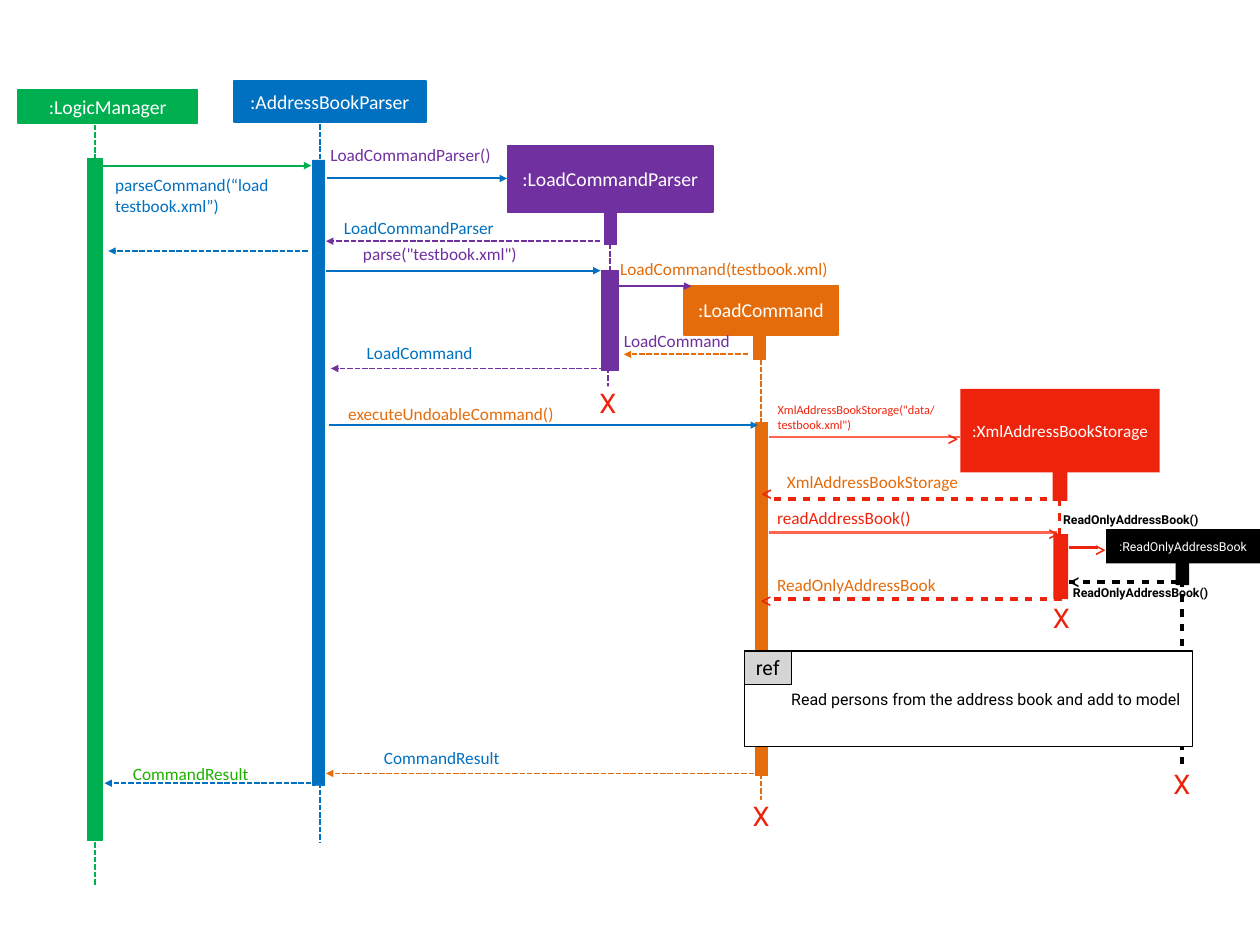
from lxml.etree import SubElement
from pptx import Presentation
from pptx.dml.color import RGBColor
from pptx.enum.dml import MSO_LINE
from pptx.enum.shapes import MSO_CONNECTOR, MSO_SHAPE
from pptx.enum.text import MSO_ANCHOR, PP_ALIGN
from pptx.oxml.ns import qn
from pptx.util import Pt

GREEN = RGBColor(0x00, 0xB0, 0x50)
LIME = RGBColor(0x1E, 0xB0, 0x01)
BLUE = RGBColor(0x00, 0x70, 0xC0)
PURPLE = RGBColor(0x70, 0x30, 0xA0)
ORANGE = RGBColor(0xE4, 0x6C, 0x0A)
RED = RGBColor(0xEE, 0x23, 0x0C)
CORAL = RGBColor(0xFF, 0x64, 0x4E)
GRAY = RGBColor(0xD6, 0xD5, 0xD5)
BLACK = RGBColor(0, 0, 0)
WHITE = RGBColor(255, 255, 255)

deck = Presentation()
deck.slide_width, deck.slide_height = Pt(1024), Pt(768)
slide = deck.slides.add_slide(deck.slide_layouts[6])


def box(x, y, w, h, fill=None, text="", ink=WHITE, size=16, face="Calibri",
        rim=None, edge=0, pad=0, bold=False, align=PP_ALIGN.CENTER,
        anchor=MSO_ANCHOR.MIDDLE):
    place = Pt(x), Pt(y), Pt(w), Pt(h)
    if fill is None:
        shape = slide.shapes.add_textbox(*place)
    else:
        shape = slide.shapes.add_shape(MSO_SHAPE.RECTANGLE, *place)
        shape.shadow.inherit = False
        shape.fill.solid()
        shape.fill.fore_color.rgb = fill
        if edge:
            shape.line.color.rgb = rim or fill
            shape.line.width = Pt(edge)
        else:
            shape.line.fill.background()
    if text:
        frame = shape.text_frame
        style = {"word_wrap": True, "vertical_anchor": anchor}
        for side in ("left", "right", "top", "bottom"):
            style["margin_" + side] = Pt(pad)
        for key, value in style.items():
            setattr(frame, key, value)
        par = frame.paragraphs[0]
        par.alignment = align
        run = par.add_run()
        run.text = text
        for key, value in {"name": face, "size": Pt(size), "bold": bold}.items():
            setattr(run.font, key, value)
        run.font.color.rgb = ink


def line(x1, y1, x2, y2, ink, width=1.5, dash=False, head=False):
    link = slide.shapes.add_connector(
        MSO_CONNECTOR.STRAIGHT, Pt(x1), Pt(y1), Pt(x2), Pt(y2))
    link.line.color.rgb = ink
    link.line.width = Pt(width)
    props = link.element.spPr
    stroke = props.find(qn("a:ln"))
    if dash and width == 3:
        custom = SubElement(stroke, qn("a:custDash"))
        SubElement(custom, qn("a:ds"), d="200000", sp="200000")
    elif dash:
        link.line.dash_style = MSO_LINE.SQUARE_DOT
        stroke.find(qn("a:prstDash")).set("val", "sysDash")
    if head:
        SubElement(stroke, qn("a:tailEnd"), type="triangle")
    SubElement(props, qn("a:effectLst"))


for x, top, end, ink, width in [
    (77, 101.5, 720, GREEN, 1.5),
    (260, 101, 685, BLUE, 1.5),
    (496, 198, 242, PURPLE, 1.5),
    (494, 287, 320, PURPLE, 1.5),
    (618.5, 292, 651, ORANGE, 1.5),
    (861, 405, 494, RED, 3),
    (960.5, 471, 631, BLACK, 3),
]:
    line(x, top, x, end, ink, width, dash=True)

for x, y, w, h, fill, edge in [
    (71, 129, 12, 554, GREEN, 0.75),
    (254, 130, 10, 508, BLUE, 0.75),
    (491, 168, 10, 31, PURPLE, 0.75),
    (489, 220, 14, 81, PURPLE, 0.75),
    (612, 270, 10, 22, ORANGE, 0.75),
    (614, 343, 10, 287, ORANGE, 0.75),
    (855.5, 383, 12, 24, RED, 0),
    (856, 434, 12, 53, RED, 0),
    (955.5, 451.5, 11, 24, BLACK, 0),
]:
    box(x, y, w, h, fill, edge=edge)

for x, y, w, h, fill, name, size, face, edge in [
    (14.5, 73, 146, 27, GREEN, ":LogicManager", 16, "Calibri", 1.5),
    (190, 65.5, 156, 34, BLUE, ":AddressBookParser", 16, "Calibri", 1.5),
    (412.5, 119, 167, 53, PURPLE, ":LoadCommandParser", 16, "Calibri", 1.5),
    (556, 232, 125, 40, ORANGE, ":LoadCommand", 16, "Calibri", 1.5),
    (780.5, 316, 162, 68, RED, ":XmlAddressBookStorage", 14, "Calibri", 0),
    (899, 430, 125, 28, BLACK, ":ReadOnlyAddressBook", 10, "Roboto", 0),
]:
    box(x, y, w, h, fill, name, size=size, face=face, edge=edge, pad=3.6)

box(605, 529, 364, 78, WHITE, rim=BLACK, edge=1)
box(634, 529, 334, 78, None, "Read persons from the address book and add to model",
    BLACK, 13, "Roboto")
box(605, 529, 38, 27, GRAY, "ref", BLACK, 16, "Roboto", BLACK, 1)

for x, y in [(494, 314), (862.5, 489), (618.5, 650), (960.5, 623.5)]:
    box(x - 11.5, y, 23, 26.5, WHITE, "X", RED, 22, "Roboto",
        anchor=MSO_ANCHOR.TOP)

for start, end, y, ink, width, dash, head in [
    (83, 253, 134.6, GREEN, 1.5, False, True),
    (266, 412, 145, BLUE, 1.5, False, True),
    (488, 265, 196, PURPLE, 1.5, True, True),
    (250, 88, 204, BLUE, 1.5, True, True),
    (265, 488, 220, BLUE, 1.5, False, True),
    (502, 562, 232.5, PURPLE, 1.5, False, True),
    (608, 507, 288, ORANGE, 1.5, True, True),
    (491, 269, 299.5, PURPLE, 1.5, True, True),
    (267, 616, 345.5, BLUE, 1.5, False, True),
    (625, 780, 355, CORAL, 2, False, False),
    (863, 625, 405.5, RED, 3, True, False),
    (625, 859, 432.7, CORAL, 2, False, False),
    (869, 892, 445, RED, 2, False, False),
    (958, 869, 473, BLACK, 3, True, False),
    (863, 625, 487, RED, 3, True, False),
    (613, 265, 628.6, ORANGE, 1.5, True, True),
    (253, 85, 636.5, BLUE, 1.5, True, True),
]:
    line(start, y, end, y, ink, width, dash, head)

for x, y, w, text, ink, size, face in [
    (93.6, 142, 156, "parseCommand(“load testbook.xml”)", BLUE, 14, "Calibri"),
    (268.5, 117.5, 141, "LoadCommandParser()", PURPLE, 14, "Calibri"),
    (279.5, 176.5, 156, "LoadCommandParser", BLUE, 14, "Calibri"),
    (295, 198, 141, 'parse("testbook.xml")', PURPLE, 14, "Calibri"),
    (504, 210, 241, "LoadCommand(testbook.xml)", ORANGE, 14, "Calibri"),
    (507, 268.5, 141, "LoadCommand", PURPLE, 14, "Calibri"),
    (298, 278.5, 156, "LoadCommand", BLUE, 14, "Calibri"),
    (283, 327.5, 241, "executeUndoableCommand()", ORANGE, 14, "Calibri"),
    (632, 327, 141, 'XmlAddressBookStorage("data/testbook.xml")', RED, 10, "Calibri"),
    (639.5, 383, 241, "XmlAddressBookStorage", ORANGE, 14, "Calibri"),
    (631.5, 412, 192, "readAddressBook()", RED, 14, "Calibri"),
    (631.5, 467, 241, "ReadOnlyAddressBook", ORANGE, 14, "Calibri"),
    (864, 416, 125, "ReadOnlyAddressBook()", BLACK, 10, "Roboto"),
    (872, 476, 125, "ReadOnlyAddressBook()", BLACK, 10, "Roboto"),
    (312, 607.5, 156, "CommandResult", BLUE, 14, "Calibri"),
    (108, 620.5, 156, "CommandResult", LIME, 14, "Calibri"),
    (868.5, 460, 14, "<", BLACK, 20, "Calibri"),
    (618.5, 388, 12, "<", RED, 20, "Calibri"),
    (618, 475, 12, "<", RED, 20, "Calibri"),
    (769, 343.5, 12, ">", RED, 20, "Calibri"),
    (851, 421, 12, ">", RED, 20, "Calibri"),
    (889, 434, 12, ">", RED, 20, "Calibri"),
]:
    box(x, y, w, size * 1.2, None, text, ink, size, face, bold=face == "Roboto",
        align=PP_ALIGN.LEFT, anchor=MSO_ANCHOR.TOP)

deck.save("out.pptx")
